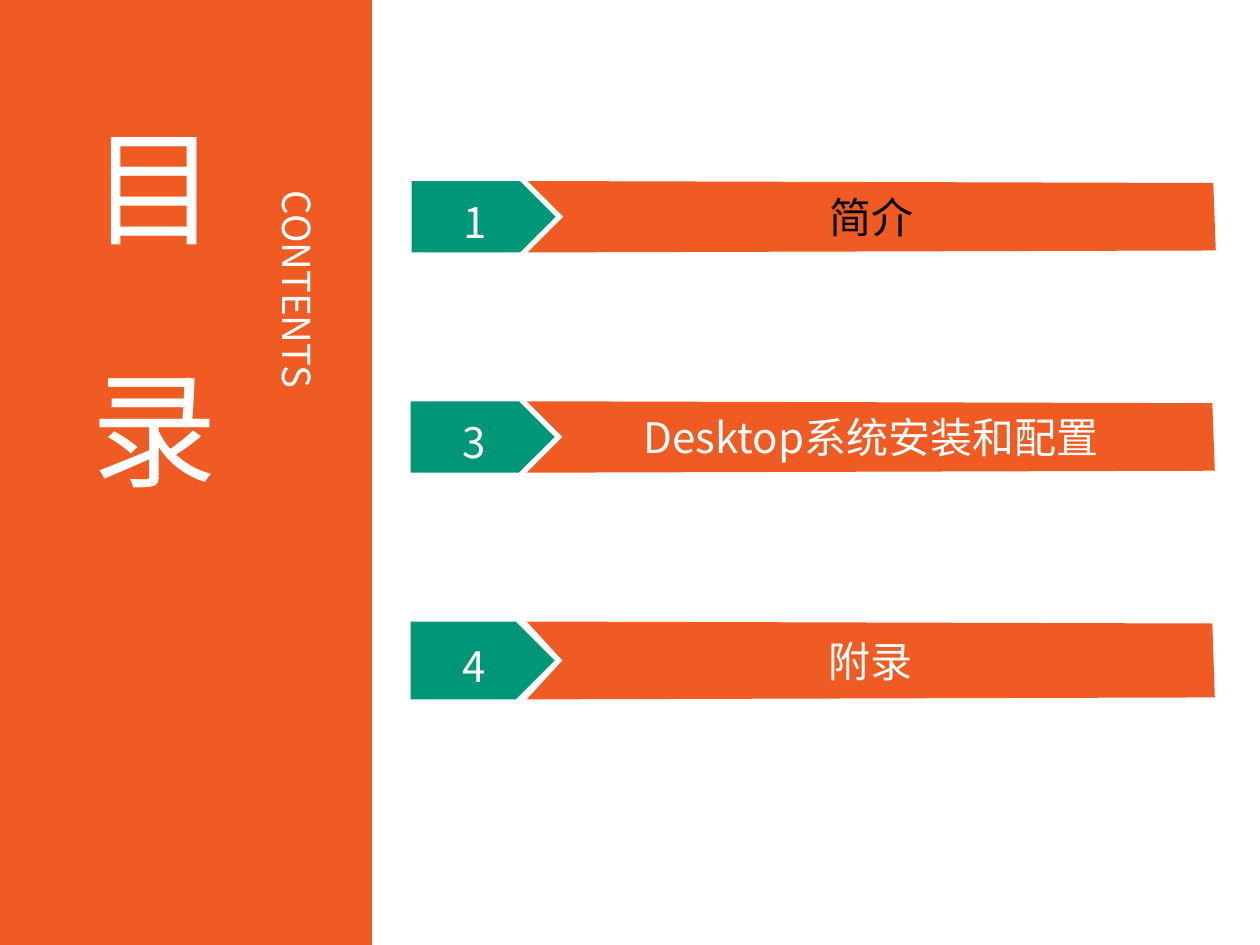
from lxml import etree
from pptx import Presentation
from pptx.dml.color import RGBColor
from pptx.enum.shapes import MSO_SHAPE
from pptx.enum.text import MSO_ANCHOR, PP_ALIGN
from pptx.oxml.ns import qn
from pptx.util import Cm, Pt

RECT = MSO_SHAPE.RECTANGLE
MIDDLE = MSO_ANCHOR.MIDDLE
CENTER = PP_ALIGN.CENTER

ORANGE = RGBColor(0xF0, 0x5A, 0x23)
GREEN = RGBColor(0x00, 0x96, 0x78)
WHITE = RGBColor(0xFF, 0xFF, 0xFF)
BLACK = RGBColor(0x00, 0x00, 0x00)


class Deck:
    """Holds the style and the current slide; lengths are in centimetres."""
    font = "Noto Sans CJK SC"
    inset = Cm(0.13)

    def __init__(self, slide):
        self.slide = slide

    def paint(self, shape, color):
        shape.shadow.inherit = False
        shape.fill.solid()
        shape.fill.fore_color.rgb = color
        shape.line.fill.background()

    def panel(self, x, y, w, h, color):
        shape = self.slide.shapes.add_shape(RECT, Cm(x), Cm(y), Cm(w), Cm(h))
        self.paint(shape, color)

    def outline(self, home, points, color):
        spots = [(Cm(x), Cm(y)) for x, y in points]
        pen = home.build_freeform(*spots[0])
        pen.add_line_segments(spots[1:], close=True)
        self.paint(pen.convert_to_shape(), color)

    def text(self, home, x, y, w, h, lines, size, color=WHITE):
        box = home.add_textbox(Cm(x), Cm(y), Cm(w), Cm(h))
        frame = box.text_frame
        frame.word_wrap = True
        frame.vertical_anchor = MIDDLE
        frame.margin_left = frame.margin_right = self.inset
        frame.margin_top = frame.margin_bottom = self.inset
        frame.text = lines
        for para in frame.paragraphs:
            para.alignment = CENTER
            font = para.font
            font.name, font.size = self.font, Pt(size)
            font.color.rgb = color
            props = para._p.pPr.find(qn("a:defRPr"))
            etree.SubElement(props, qn("a:ea")).set("typeface", self.font)
        return box

    def entry(self, x, y, h, number, label, color):
        home = self.slide.shapes.add_group_shape().shapes
        mid, end = y + h / 2, y + h
        # Numbered arrow tag
        tip = x + 2.9
        neck = tip - h / 2
        self.outline(home, [(x, y), (neck, y), (tip, mid), (neck, end), (x, end)],
                     GREEN)
        self.text(home, x + 0.23, y - 0.1, 2.1, h + 0.4, number, 24)
        # Notched, slightly tapered bar
        bar, wide = x + 2.34, 13.87
        self.outline(home, [(bar, y), (bar + wide - 0.05, y + 0.04),
                            (bar + wide, end - 0.04), (bar, end),
                            (bar + 0.72, mid)], ORANGE)
        self.text(home, bar, mid - 0.71, wide, 1.42, label, 24, color)


def main():
    prs = Presentation()
    prs.slide_width, prs.slide_height = Cm(25.4), Cm(19.05)
    deck = Deck(prs.slides.add_slide(prs.slide_layouts[6]))
    shapes = deck.slide.shapes

    # Side panel with the heading
    deck.panel(0, 0, 7.5, 19.05, ORANGE)
    title = deck.text(shapes, 1.5, 2.82, 3.84, 7.09, "目\n录", 72)
    first, last = title.text_frame.paragraphs
    first.line_spacing = last.line_spacing = 0.9
    last.space_before = Pt(61)
    first._p.pPr.set("marR", str(Cm(0.6)))
    side = deck.text(shapes, 3.73, 4.83, 4.55, 2.01, "CONTENTS", 22)
    side.rotation = 90

    # Contents entries
    rows = [(8.3, 1.44, "1", "简介", BLACK),
            (8.28, 1.44, "3", "Desktop系统安装和配置", WHITE),
            (8.28, 1.57, "4", "附录", WHITE)]
    for i, (x, h, number, label, color) in enumerate(rows):
        deck.entry(x, 3.65 + 4.44 * i, h, number, label, color)

    prs.save("out.pptx")


if __name__ == "__main__":
    main()
